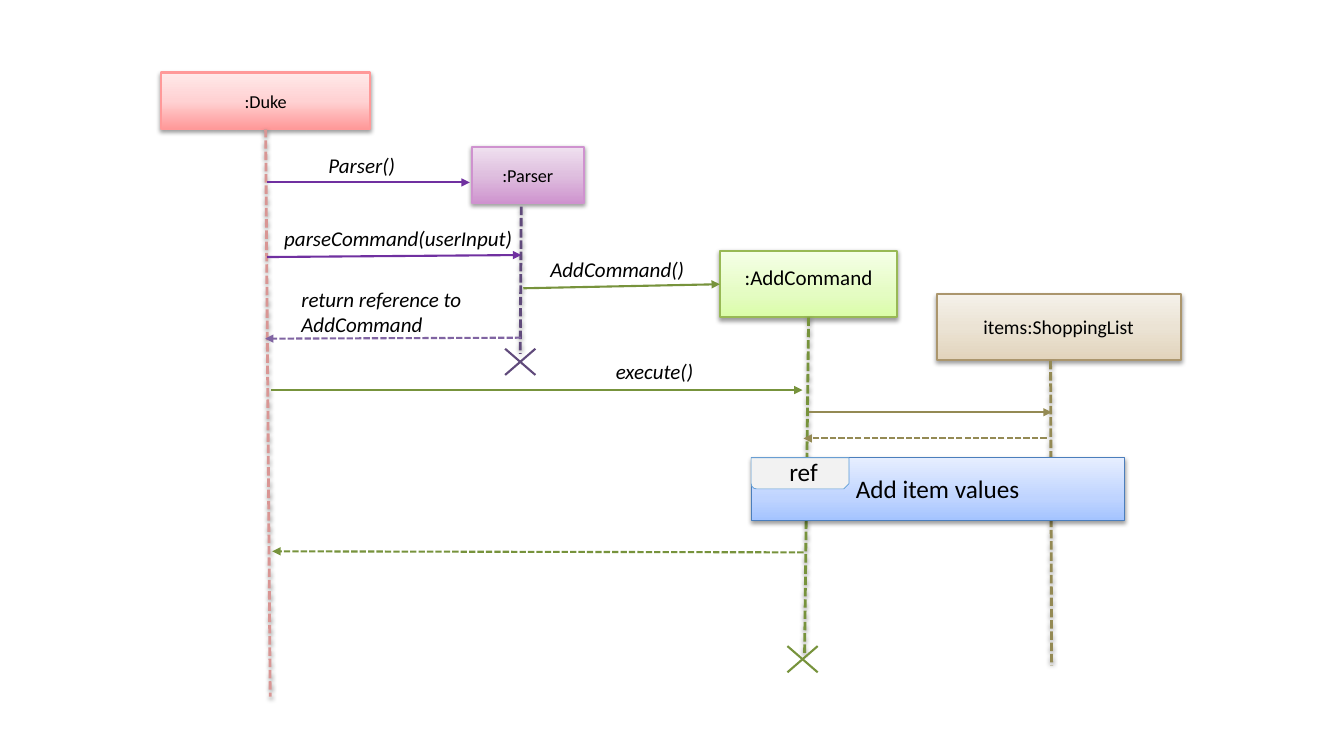
import copy

import lxml.etree
import pptx
import pptx.dml.color
import pptx.enum.dml
import pptx.enum.shapes
import pptx.enum.text
import pptx.oxml
import pptx.oxml.ns
import pptx.util

Inches = pptx.util.Inches
Pt = pptx.util.Pt
qn = pptx.oxml.ns.qn
ANCHOR = pptx.enum.text.MSO_ANCHOR
ALIGN = pptx.enum.text.PP_ALIGN
SHAPE = pptx.enum.shapes.MSO_SHAPE

COLORS = {
    "black": "000000",
    "duke_line": "D99694",
    "call": "7030A0",
    "parser_line": "604A7B",
    "return": "8064A2",
    "command": "77933C",
    "items": "948A54",
    "tab_fill": "F2F2F2",
    "tab_border": "5B9BD5",
    "duke_border": "FF9999",
    "parser_border": "CF92CF",
    "command_border": "98B955",
    "items_border": "AB966D",
    "frame_border": "4B7EBC",
}
GRADIENTS = {
    "duke": [(0, "FF9999"), (50, "FFD2D3"), (100, "FFE9E9")],
    "parser": [(0, "CF95CF"), (50, "DFBFDF"), (100, "EFE0EF")],
    "command": [(0, "DAFDA7"), (35, "E4FCC2"), (100, "F5FFE7")],
    "items": [(0, "E2D4BC"), (50, "EBE3D4"), (100, "F5F1EA")],
    "frame": [(0, "A4C4FF"), (35, "BFD4FF"), (100, "E6EEFF")],
}


def rgb(value):
    return pptx.dml.color.RGBColor.from_string(value)


class SequenceDiagram:
    font_name = "Calibri"

    def __init__(self, slide):
        self.slide = slide

    def set_effects(self, properties, shadow):
        for effects in properties.findall(qn("a:effectLst")):
            properties.remove(effects)
        effects = lxml.etree.SubElement(properties, qn("a:effectLst"))
        if shadow:
            outer = lxml.etree.SubElement(
                effects, qn("a:outerShdw"), blurRad="40000", dist="20000",
                dir="5400000", rotWithShape="0")
            color = lxml.etree.SubElement(outer, qn("a:srgbClr"), val=COLORS["black"])
            lxml.etree.SubElement(color, qn("a:alpha"), val="38000")

    def set_text(self, shape, text, size, italic=False, align=ALIGN.LEFT):
        shape.text_frame.word_wrap = True
        paragraph = shape.text_frame.paragraphs[0]
        paragraph.text = text
        paragraph.alignment = align
        paragraph.font.name = self.font_name
        paragraph.font.size = Pt(size)
        paragraph.font.italic = italic
        paragraph.font.color.rgb = rgb(COLORS["black"])

    def box(self, left, top, width, height, text, size, gradient, border_width=1.5):
        shape = self.slide.shapes.add_shape(
            SHAPE.RECTANGLE, Inches(left), Inches(top), Inches(width), Inches(height))
        shape.fill.gradient()
        shape.fill.gradient_angle = 90
        stop_list = shape._element.spPr.find(".//" + qn("a:gsLst"))
        stop_list.append(copy.deepcopy(stop_list[-1]))
        for stop, (position, color) in zip(shape.fill.gradient_stops, GRADIENTS[gradient]):
            stop.position = position / 100
            stop.color.rgb = rgb(color)
        shape.line.color.rgb = rgb(COLORS[gradient + "_border"])
        shape.line.width = Pt(border_width)
        self.set_effects(shape._element.spPr, True)
        self.set_text(shape, text, size, align=ALIGN.CENTER)
        shape.text_frame.vertical_anchor = ANCHOR.MIDDLE
        return shape

    def frame_tab(self, left, top, width, height):
        shape = self.slide.shapes.add_shape(
            SHAPE.SNIP_ROUND_RECTANGLE,
            Inches(left), Inches(top), Inches(width), Inches(height))
        shape.rotation = 180
        shape._element.spPr.xfrm.set("flipH", "1")
        shape.fill.solid()
        shape.fill.fore_color.rgb = rgb(COLORS["tab_fill"])
        shape.line.color.rgb = rgb(COLORS["tab_border"])
        shape.line.width = Pt(0.5)
        shape.shadow.inherit = False

    def label(self, left, top, width, height, text, size=15, italic=True):
        shape = self.slide.shapes.add_textbox(
            Inches(left), Inches(top), Inches(width), Inches(height))
        self.set_text(shape, text, size, italic)

    def line(self, start, end, color, width=1.5, dashed=False, arrow=False, shadow=False):
        connector = self.slide.shapes.add_connector(
            pptx.enum.shapes.MSO_CONNECTOR.STRAIGHT, *map(Inches, (*start, *end)))
        connector.line.color.rgb = rgb(COLORS[color])
        connector.line.width = Pt(width)
        if dashed:
            connector.line.dash_style = pptx.enum.dml.MSO_LINE.SQUARE_DOT
        if arrow:
            lxml.etree.SubElement(
                connector.line._get_or_add_ln(), qn("a:tailEnd"), type="triangle")
        self.set_effects(connector._element.spPr, shadow)
        return connector

    def lifeline(self, start, end, color):
        return self.line(start, end, color, width=2, dashed=True, shadow=True)

    def message(self, start, end, color, dashed=False):
        return self.line(start, end, color, dashed=dashed, arrow=True)

    def destruction(self, x, y, color):
        for rise in (-0.13, 0.13):
            self.line((x + 0.15, y + rise), (x - 0.15, y - rise), color)


def main():
    presentation = pptx.Presentation()
    presentation.slide_width = Inches(13.33)
    presentation.slide_height = Inches(7.5)
    slide = presentation.slides.add_slide(presentation.slide_layouts[6])
    diagram = SequenceDiagram(slide)

    duke = diagram.box(1.6, 0.72, 2.07, 0.56, ":Duke", 13, "duke")
    diagram.box(4.68, 1.46, 1.11, 0.55, ":Parser", 13, "parser")
    command = diagram.box(7.14, 2.49, 1.76, 0.66, ":AddCommand", 15, "command")
    command.text_frame.vertical_anchor = ANCHOR.TOP
    command.text_frame.margin_top = Inches(0.13)
    diagram.box(9.29, 2.92, 2.42, 0.65, "items:ShoppingList", 14, "items")

    diagram.lifeline((2.66, 1.3), (2.68, 6.91), "duke_line").begin_connect(duke, 2)
    diagram.lifeline((5.17, 2.05), (5.16, 3.51), "parser_line")
    diagram.lifeline((8, 3.18), (7.98, 6.49), "command").begin_connect(command, 2)
    diagram.lifeline((10.42, 3.58), (10.43, 6.6), "items")
    diagram.destruction(5.16, 3.59, "parser_line")
    diagram.destruction(7.96, 6.54, "command")

    diagram.box(7.45, 4.54, 3.7, 0.62, "Add item values", 18, "frame", 0.75)
    diagram.frame_tab(7.45, 4.54, 0.97, 0.31)
    diagram.label(7.73, 4.48, 0.57, 0.6, "ref", 18, italic=False)

    for start, end, color, dashed in [
        ((2.65, 1.81), (4.66, 1.81), "call", False),
        ((2.65, 2.55), (5.17, 2.53), "call", False),
        ((5.17, 3.35), (2.63, 3.36), "return", True),
        ((2.69, 3.87), (7.96, 3.87), "command", False),
        ((8.02, 4.09), (10.43, 4.09), "items", False),
        ((10.38, 4.35), (7.97, 4.35), "items", True),
        ((7.97, 5.48), (2.7, 5.47), "command", True),
    ]:
        diagram.message(start, end, color, dashed)
    diagram.message((5.19, 2.86), (7.14, 2.85), "command").end_connect(command, 1)

    diagram.label(3.16, 1.46, 1.3, 0.3, "Parser()")
    diagram.label(2.72, 2.19, 2.75, 0.3, "parseCommand(userInput)")
    diagram.label(2.89, 2.79, 1.88, 0.61, "return reference to AddCommand")
    diagram.label(5.36, 2.5, 2.34, 0.35, "AddCommand()")
    diagram.label(6.01, 3.51, 0.98, 0.3, "execute()")

    presentation.save("out.pptx")


if __name__ == "__main__":
    main()
